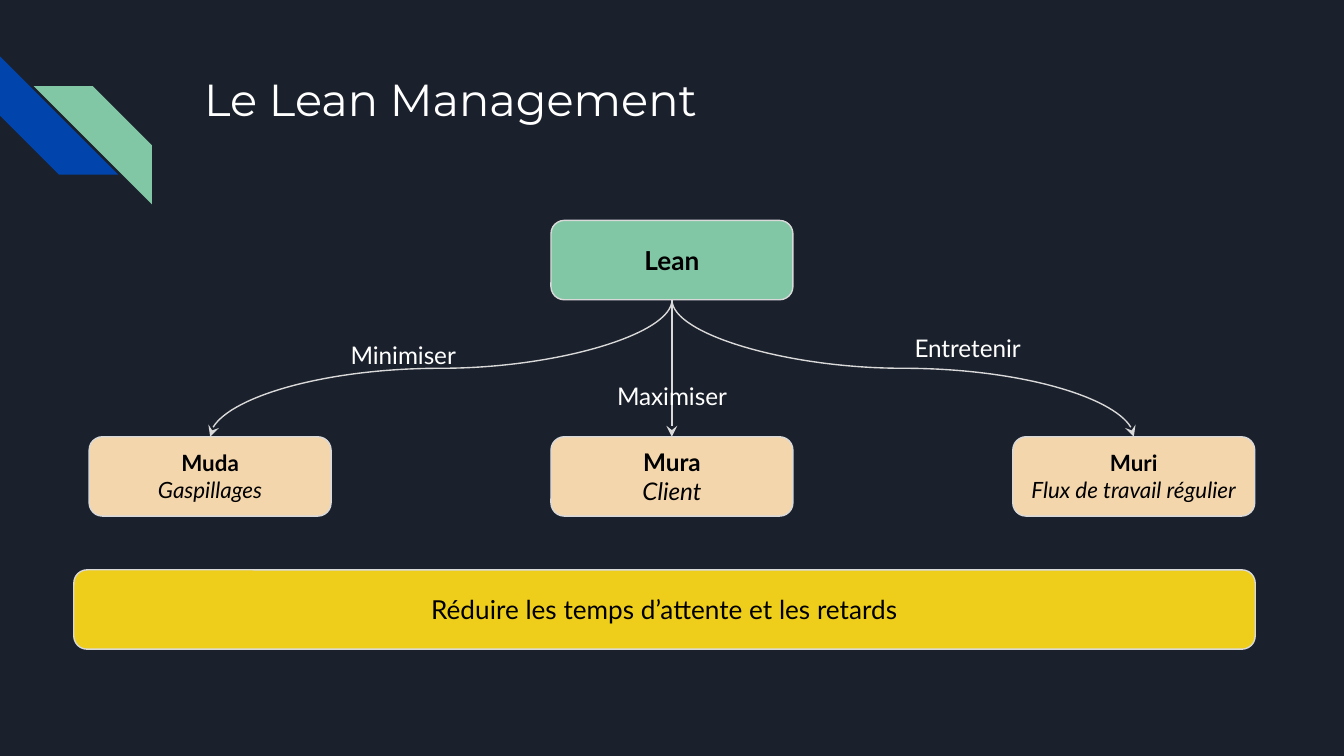
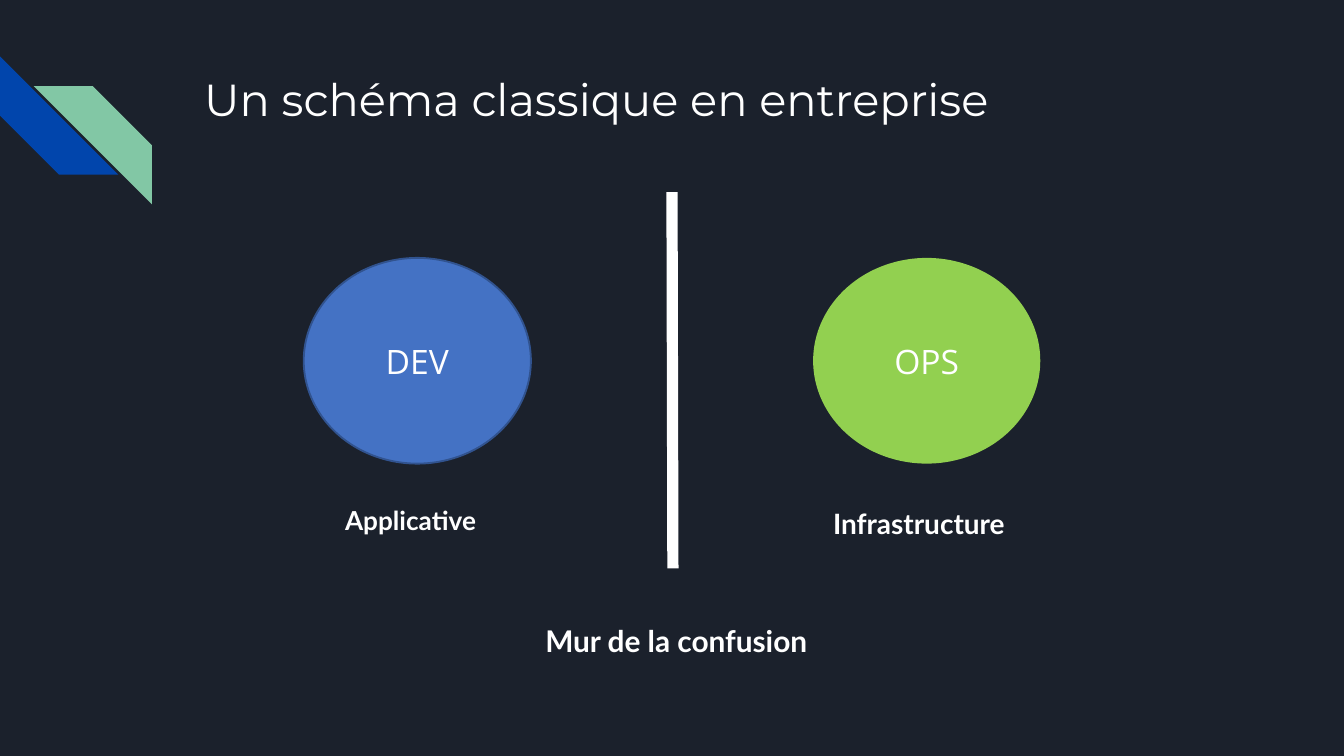
from lxml import etree
from pptx import Presentation
from pptx.dml.color import RGBColor
from pptx.enum.shapes import MSO_CONNECTOR, MSO_SHAPE
from pptx.enum.text import MSO_ANCHOR, MSO_AUTO_SIZE, PP_ALIGN
from pptx.oxml.ns import qn
from pptx.util import Pt

ROUNDED, ELLIPSE, STRIPE = MSO_SHAPE.ROUNDED_RECTANGLE, MSO_SHAPE.OVAL, MSO_SHAPE.DIAGONAL_STRIPE
CURVE, STRAIGHT = MSO_CONNECTOR.CURVE, MSO_CONNECTOR.STRAIGHT
TOP, MIDDLE = MSO_ANCHOR.TOP, MSO_ANCHOR.MIDDLE
LEFT, CENTER = PP_ALIGN.LEFT, PP_ALIGN.CENTER
NO_FIT, GROW = MSO_AUTO_SIZE.NONE, MSO_AUTO_SIZE.SHAPE_TO_FIT_TEXT

NIGHT = RGBColor(0x1B, 0x21, 0x2C)
WHITE = RGBColor(0xFF, 0xFF, 0xFF)
BLACK = RGBColor(0x00, 0x00, 0x00)
ROYAL = RGBColor(0x01, 0x45, 0xAC)
MINT = RGBColor(0x82, 0xC7, 0xA5)
SAND = RGBColor(0xF4, 0xD6, 0xAD)
YELLOW = RGBColor(0xEE, 0xCE, 0x1A)
SILVER = RGBColor(0xD9, 0xD9, 0xD9)
BLUE = RGBColor(0x44, 0x72, 0xC4)
DARK_BLUE = RGBColor(0x31, 0x53, 0x8F)
GREEN = RGBColor(0x92, 0xD0, 0x50)

TITLE_FONT, BODY_FONT, CIRCLE_FONT = "Montserrat", "Lato", "Open Sans"
CENTER_X = 360
BOX_WIDTH, BOX_HEIGHT = 129.6, 42.5


class Deck:
    """Holds the shared style and the slide being drawn."""

    def __init__(self):
        self.presentation = Presentation()
        self.presentation.slide_width = Pt(720)
        self.presentation.slide_height = Pt(405)
        background = self.presentation.slide_master.background.fill
        background.solid()
        background.fore_color.rgb = NIGHT
        self.slide = None

    def new_slide(self, heading):
        self.slide = self.presentation.slides.add_slide(self.presentation.slide_layouts[5])
        stripe = self.shape(STRIPE, 0, 30.2, 63.4, 63.4, ROYAL)
        stripe.rotation = 270
        stripe = self.shape(STRIPE, 18, 46.1, 63.4, 63.4, MINT)
        stripe._element.spPr.find(qn("a:xfrm")).set("flipH", "1")
        title = self.slide.shapes.title
        title.left, title.top, title.width, title.height = Pt(102.2), Pt(31), Pt(554.4), Pt(72)
        self.add_text(title, [(heading, False, False)], 24, TITLE_FONT, WHITE, LEFT, TOP)

    def add_text(self, shape, lines, size, font_name=BODY_FONT, color=WHITE, align=CENTER,
                 anchor=MIDDLE, inset=7.2, spacing=None, fit=NO_FIT):
        frame = shape.text_frame
        frame.word_wrap = True
        frame.auto_size = fit
        frame.vertical_anchor = anchor
        frame.margin_left = frame.margin_right = Pt(7.2)
        frame.margin_top = frame.margin_bottom = Pt(inset)
        for index, (text, bold, italic) in enumerate(lines):
            paragraph = frame.add_paragraph() if index else frame.paragraphs[0]
            paragraph.alignment = align
            if spacing:
                paragraph.line_spacing = spacing
            run = paragraph.add_run()
            run.text = text
            font = run.font
            font.name, font.size, font.bold, font.italic = font_name, Pt(size), bold, italic
            font.color.rgb = color

    def shape(self, kind, left, top, width, height, fill, outline=None, weight=0.75):
        shape = self.slide.shapes.add_shape(kind, Pt(left), Pt(top), Pt(width), Pt(height))
        shape.shadow.inherit = False
        shape.fill.solid()
        shape.fill.fore_color.rgb = fill
        if outline is None:
            shape.line.fill.background()
        else:
            shape.line.color.rgb = outline
            shape.line.width = Pt(weight)
        return shape

    def box(self, center, top, fill, lines, size, width=BOX_WIDTH):
        shape = self.shape(ROUNDED, center - width / 2, top, width, BOX_HEIGHT, fill, SILVER)
        self.add_text(shape, lines, size, color=BLACK)

    def circle(self, left, text, fill, outline=None):
        shape = self.shape(ELLIPSE, left, 138.2, 121.7, 110.2, fill, outline, 1)
        self.add_text(shape, [(text, False, False)], 18, CIRCLE_FONT, inset=3.6)

    def text_box(self, left, top, width, height):
        return self.slide.shapes.add_textbox(Pt(left), Pt(top), Pt(width), Pt(height))

    def label(self, center, top, text, anchor=TOP):
        box = self.text_box(center - 51.85, top, 103.7, 22.3)
        self.add_text(box, [(text, False, False)], 13, anchor=anchor)

    def caption(self, left, top, width, height, text, size):
        box = self.text_box(left, top, width, height)
        self.add_text(box, [(text, True, False)], size, align=LEFT, anchor=TOP,
                      inset=3.6, spacing=2.0, fit=GROW)

    def line(self, kind, begin, end, color, weight):
        connector = self.slide.shapes.add_connector(kind, *map(Pt, begin + end))
        connector.line.color.rgb = color
        connector.line.width = Pt(weight)
        etree.SubElement(connector._element.spPr, qn("a:effectLst"))
        return connector

    def branch(self, start_x, top, end_x, bottom):
        middle_x, middle_y = (start_x + end_x) / 2, (top + bottom) / 2
        half_span, half_drop = abs(end_x - start_x) / 2, (bottom - top) / 2
        side = 1 if end_x < start_x else -1
        connector = self.line(CURVE, (middle_x - side * half_drop, middle_y - half_span),
                              (middle_x + side * half_drop, middle_y + half_span), SILVER, 0.75)
        properties = connector._element.spPr
        properties.find(qn("a:xfrm")).set("rot", str((90 if side > 0 else 270) * 60000))
        etree.SubElement(properties.find(qn("a:ln")), qn("a:tailEnd"), type="stealth")


def lean_slide(deck):
    deck.new_slide("Le Lean Management")
    lean_top, goal_top, goal_step = 118.1, 234, 247.4
    deck.box(CENTER_X, lean_top, MINT, [("Lean", True, False)], 14)
    goals = [("Muda", "Gaspillages", 12), ("Mura", "Client", 13),
             ("Muri", "Flux de travail régulier", 12)]
    for position, (name, goal, size) in enumerate(goals, -1):
        center = CENTER_X + position * goal_step
        deck.box(center, goal_top, SAND, [(name, True, False), (goal, False, True)], size)
        deck.branch(CENTER_X, lean_top + BOX_HEIGHT, center, goal_top)
    deck.box(356, 305.3, YELLOW, [("Réduire les temps d’attente et les retards", False, False)],
             14, width=632.9)
    deck.label(216, 175, "Minimiser")
    deck.label(518.4, 175, "Entretenir", MIDDLE)
    deck.label(CENTER_X, 197.3, "Maximiser")


def company_slide(deck):
    deck.new_slide("Un schéma classique en entreprise")
    deck.circle(162.7, "DEV", BLUE, DARK_BLUE)
    deck.circle(435.6, "OPS", GREEN)
    deck.line(STRAIGHT, (CENTER_X, 103), (CENTER_X + 0.5, 304.5), WHITE, 6)
    deck.caption(177.8, 249.8, 91.4, 24.5, "Applicative", 14)
    deck.caption(439.2, 249.8, 121.7, 25.2, "Infrastructure", 15)
    deck.caption(285.1, 311, 175.7, 26.6, "Mur de la confusion", 16)


def main():
    deck = Deck()
    lean_slide(deck)
    company_slide(deck)
    deck.presentation.save("out.pptx")


if __name__ == "__main__":
    main()
